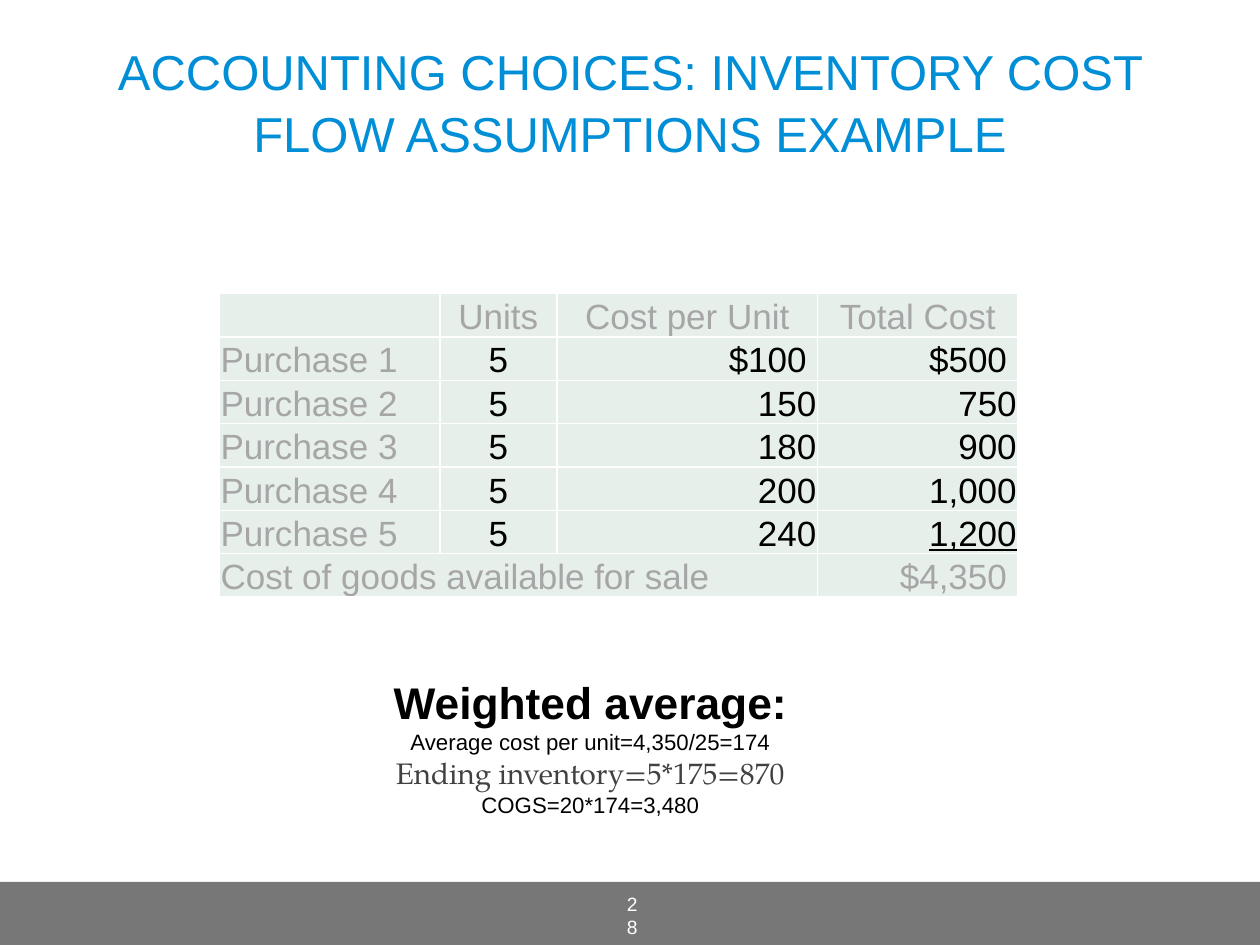
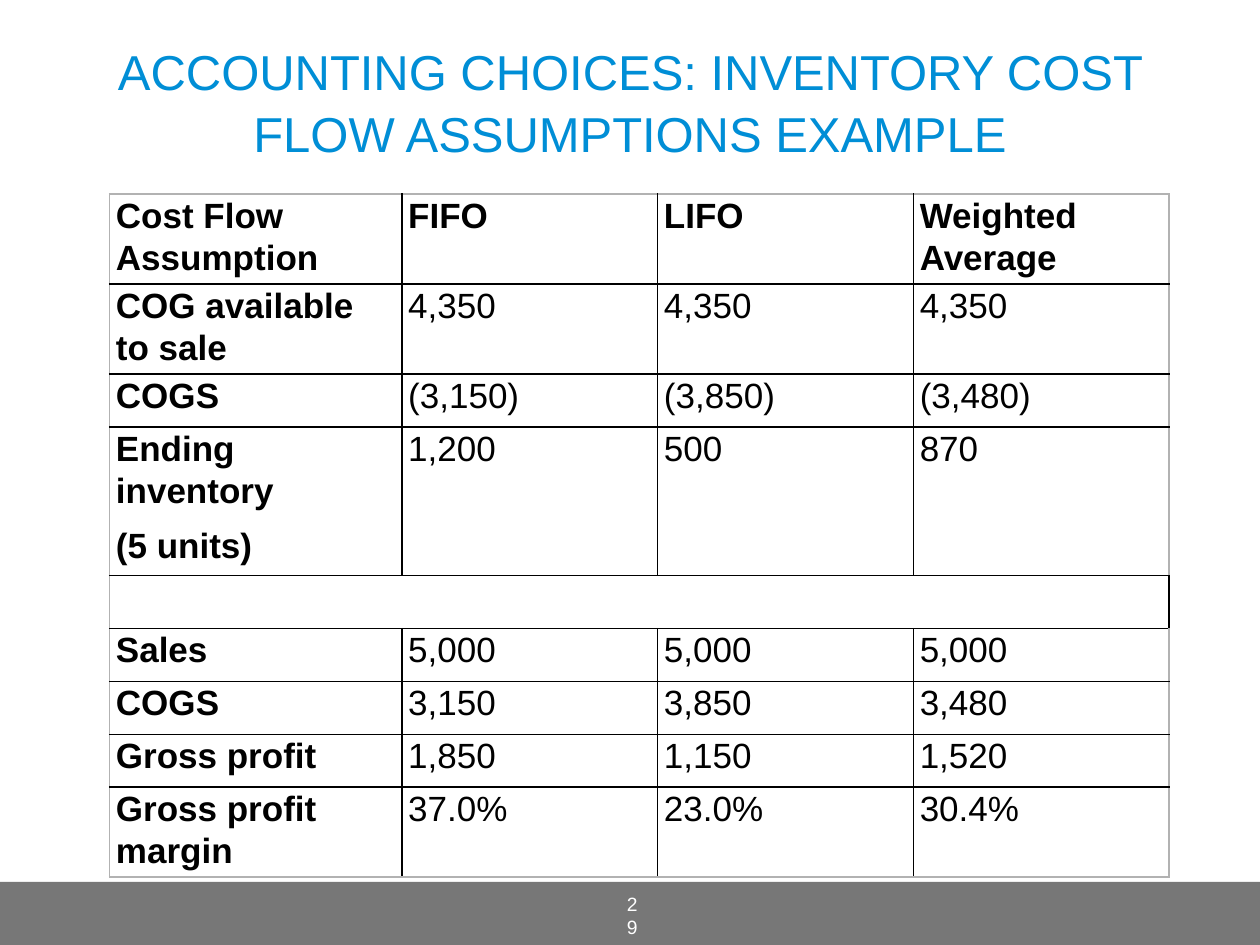
from pptx import Presentation
from pptx.dml.color import RGBColor
from pptx.enum.shapes import MSO_SHAPE
from pptx.enum.text import MSO_ANCHOR, MSO_AUTO_SIZE, PP_ALIGN
from pptx.oxml import parse_xml
from pptx.oxml.ns import nsdecls
from pptx.util import Inches, Pt

RECT = MSO_SHAPE.RECTANGLE
TOP, MID, LOW = MSO_ANCHOR.TOP, MSO_ANCHOR.MIDDLE, MSO_ANCHOR.BOTTOM
LEFT, MIDST, RIGHT = PP_ALIGN.LEFT, PP_ALIGN.CENTER, PP_ALIGN.RIGHT
GROW = MSO_AUTO_SIZE.SHAPE_TO_FIT_TEXT

INK = {
    "blue": "008ED6", "band": "777777", "white": "FFFFFF", "black": "000000",
    "mute": "A6A6A6", "mint": "E7EFEA", "dark": "414141", "edge": "B2B2B2",
}
TITLE = "ACCOUNTING CHOICES: INVENTORY COST FLOW ASSUMPTIONS EXAMPLE"
SIDES = ("left", "top", "right", "bottom")


def write(frame, lines, para, ink="black", **font):
    for i, line in enumerate(lines):
        p = frame.paragraphs[0] if i == 0 else frame.add_paragraph()
        for key, val in para.items():
            setattr(p, key, val)
        if not line:
            continue
        run = p.add_run()
        run.text = line
        run.font.color.rgb = RGBColor.from_string(INK[ink])
        for key, val in {"name": "Arial", "bold": False, **font}.items():
            setattr(run.font, key, val)


def style(cell, pads, anchor, edges):
    cell.vertical_anchor = anchor
    for side, pad in zip(SIDES, pads):
        setattr(cell, f"margin_{side}", Inches(pad))
    props = cell._tc.get_or_add_tcPr()
    for i, (tag, ink) in enumerate(zip(("lnL", "lnR", "lnT", "lnB"), edges)):
        props.insert(i, parse_xml(
            f'<a:{tag} {nsdecls("a")} w="12700"><a:solidFill>'
            f'<a:srgbClr val="{INK[ink]}"/></a:solidFill></a:{tag}>'))


deck = Presentation()
deck.slide_width, deck.slide_height = Inches(10), Inches(7.5)

slides = []
for num in (28, 29):
    slide = deck.slides.add_slide(deck.slide_layouts[6])
    slides.append(slide)
    band = slide.shapes.add_shape(RECT, 0, Inches(7), Inches(10), Inches(0.5))
    band.shadow.inherit = False
    band.fill.solid()
    band.fill.fore_color.rgb = RGBColor.from_string(INK["band"])
    band.line.fill.background()

    head = slide.shapes.add_textbox(
        Inches(0.42), Inches(0.17), Inches(9.16), Inches(1.25)).text_frame
    head.word_wrap = True
    head.vertical_anchor = MID
    write(head, [TITLE], {"alignment": MIDST, "line_spacing": 1.05},
          "blue", size=Pt(28))

    page = slide.shapes.add_textbox(
        Inches(4.91), Inches(7.12), Inches(0.17), Inches(0.29)).text_frame
    page.word_wrap = True
    page.vertical_anchor = MID
    page.margin_left = page.margin_right = Inches(0.02)
    write(page, [str(num)], {"alignment": RIGHT}, "white", size=Pt(11))

costs = [
    ["", "Units", "Cost per Unit", "Total Cost"],
    ["Purchase 1", "5", "$100 ", "$500 "],
    ["Purchase 2", "5", "150", "750"],
    ["Purchase 3", "5", "180", "900"],
    ["Purchase 4", "5", "200", "1,000"],
    ["Purchase 5", "5", "240", "1,200"],
    ["Cost of goods available for sale", "", "", "$4,350 "],
]
last = len(costs) - 1
grid = slides[0].shapes.add_table(
    len(costs), 4, Inches(1.74), Inches(2.33), Inches(6.34), Inches(2.41)).table
grid.first_row = grid.horz_banding = False
for col, wide in zip(grid.columns, (1.75, 0.93, 2.07, 1.59)):
    col.width = Inches(wide)
for r, row in enumerate(costs):
    grid.rows[r].height = Inches(2.41 / len(costs))
    for c, text in enumerate(row):
        cell = grid.cell(r, c)
        cell.fill.solid()
        cell.fill.fore_color.rgb = RGBColor.from_string(INK["mint"])
        style(cell, (0.01, 0.01, 0.01, 0), LOW, ["white"] * 4)
        side = MIDST if r == 0 else (LEFT, MIDST, RIGHT, RIGHT)[c]
        ink = "mute" if r in (0, last) or c == 0 else "black"
        write(cell.text_frame, [text], {"alignment": side}, ink,
              size=Pt(20), underline=(r, c) == (last - 1, 3))
grid.cell(last, 0).merge(grid.cell(last, 2))

box = slides[0].shapes.add_textbox(
    Inches(1.76), Inches(5.32), Inches(5.85), Inches(1.21)).text_frame
box.word_wrap = True
box.auto_size = GROW
box.vertical_anchor = MID
for side in SIDES:
    setattr(box, f"margin_{side}", Inches(0.04))
notes = [
    ("Weighted average:", "black", {"size": Pt(25.3), "bold": True}),
    ("Average cost per unit=4,350/25=174", "black", {"size": Pt(12.7)}),
    ("Ending inventory=5*175=870", "dark",
     {"size": Pt(16.9), "name": "TeX Gyre Pagella"}),
    ("COGS=20*174=3,480", "black", {"size": Pt(12.7)}),
]
write(box, [""] * len(notes), {"alignment": MIDST})
for p, (text, ink, font) in zip(box.paragraphs, notes):
    run = p.add_run()
    run.text = text
    run.font.color.rgb = RGBColor.from_string(INK[ink])
    for key, val in {"name": "Arial", "bold": False, **font}.items():
        setattr(run.font, key, val)

flows = [
    (0.66, "Cost Flow Assumption", "FIFO", "LIFO", "Weighted Average"),
    (0.66, "COG available to sale", "4,350", "4,350", "4,350"),
    (0.42, "COGS", "(3,150)", "(3,850)", "(3,480)"),
    (1.1, "Ending inventory\n(5 units)", "1,200", "500", "870"),
    (0.42, "", "", "", ""),
    (0.42, "Sales", "5,000", "5,000", "5,000"),
    (0.42, "COGS", "3,150", "3,850", "3,480"),
    (0.42, "Gross profit", "1,850", "1,150", "1,520"),
    (0.66, "Gross profit margin", "37.0%", "23.0%", "30.4%"),
]
gap = 4
last = len(flows) - 1
grid = slides[1].shapes.add_table(
    len(flows), 4, Inches(0.87), Inches(1.54), Inches(8.41), Inches(5.18)).table
grid.first_row = grid.horz_banding = False
for col, wide in zip(grid.columns, (2.32, 2.03, 2.03, 2.03)):
    col.width = Inches(wide)
for r, (high, *row) in enumerate(flows):
    grid.rows[r].height = Inches(high)
    for c, text in enumerate(row):
        cell = grid.cell(r, c)
        cell.fill.background()
        outer = (c == 0, c == 3, r == 0, r == last)
        style(cell, (0.05, 0, 0.05, 0), TOP,
              ["edge" if out else "black" for out in outer])
        write(cell.text_frame, text.split("\n"),
              {"line_spacing": 1.07, "space_after": Pt(8)},
              size=Pt(20), bold=r == 0 or c == 0)
grid.cell(gap, 0).merge(grid.cell(gap, 3))

deck.save("out.pptx")
